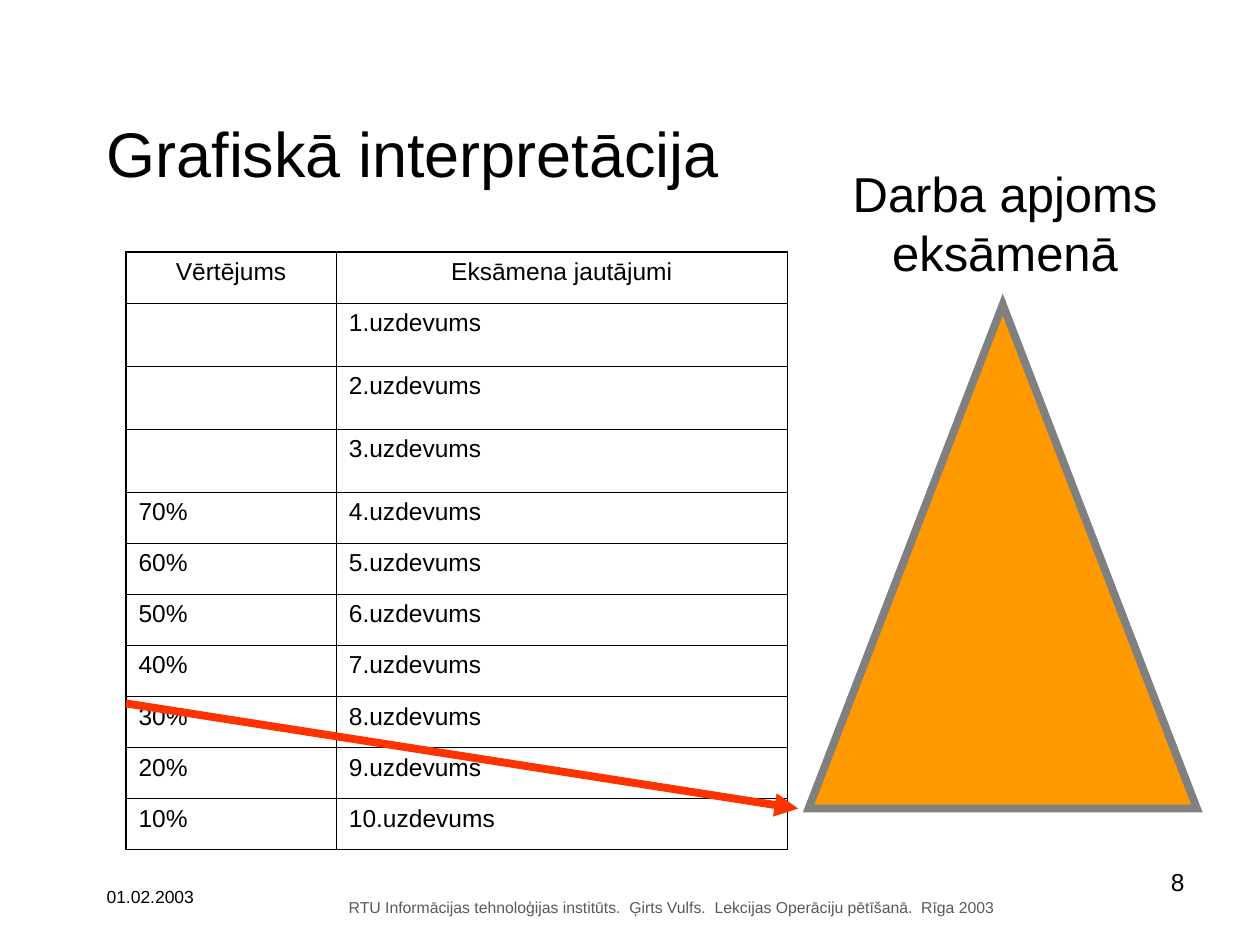
from dataclasses import dataclass

from lxml import etree
from pptx import Presentation
from pptx.dml.color import RGBColor
from pptx.enum.shapes import MSO_CONNECTOR, MSO_SHAPE
from pptx.enum.text import MSO_ANCHOR, MSO_AUTO_SIZE, PP_ALIGN
from pptx.oxml.ns import qn
from pptx.util import Cm, Pt

LEFT, CENTER, RIGHT = PP_ALIGN.LEFT, PP_ALIGN.CENTER, PP_ALIGN.RIGHT
TOP, MIDDLE = MSO_ANCHOR.TOP, MSO_ANCHOR.MIDDLE
FIXED, GROW = MSO_AUTO_SIZE.NONE, MSO_AUTO_SIZE.SHAPE_TO_FIT_TEXT
TRIANGLE, STRAIGHT = MSO_SHAPE.ISOSCELES_TRIANGLE, MSO_CONNECTOR.STRAIGHT

COLORS = {
    "text": "000000",
    "footer": "595959",
    "border": "000000",
    "triangle": "FF9900",
    "outline": "808080",
    "arrow": "FF3300",
}
FONT = "Arial"
THICK, THIN = Pt(1.08), Pt(0.45)
PLAIN_ROW, TALL_ROW = Cm(1.03), Cm(1.27)


@dataclass
class Label:
    """A text box; lengths are in centimetres, the size in points."""
    lines: list[str]
    left: float
    top: float
    width: float
    height: float
    size: float
    color: str = "text"
    align: PP_ALIGN = LEFT
    anchor: MSO_ANCHOR = TOP
    wrap: bool = True


FOOTER = Label(
    ["RTU Informācijas tehnoloģijas institūts.  Ģirts Vulfs.  "
     "Lekcijas Operāciju pētīšanā.  Rīga 2003"],
    6.78, 17.98, 13.54, 0.64, 9, color="footer", wrap=False)
LABELS = [
    Label(["Grafiskā interpretācija"], 1.9, 1.48, 21.6, 3.18, 36, anchor=MIDDLE),
    Label(["Darba apjoms", "eksāmenā"], 16.76, 3.18, 7, 2.64, 28,
          align=CENTER, wrap=False),
    Label(["8"], 18.21, 17.36, 5.92, 1.32, 14, align=RIGHT),
    Label(["01.02.2003"], 1.9, 17.74, 3.2, 1.31, 10),
]

# Grades fall from 70% to 10%; the first three tasks have none
GRADES = [""] * 3 + [f"{percent}%" for percent in range(70, 0, -10)]
ROWS = [("Vērtējums", "Eksāmena jautājumi")] + [
    (grade, f"{number}.uzdevums") for number, grade in enumerate(GRADES, 1)]


def rgb(name: str) -> RGBColor:
    return RGBColor.from_string(COLORS[name])


def format_paragraph(para, size: float, color: str, align: PP_ALIGN) -> None:
    para.alignment = align
    for name, value in {"name": FONT, "size": Pt(size)}.items():
        setattr(para.font, name, value)
    para.font.color.rgb = rgb(color)


def add_label(page, label: Label) -> None:
    box = page.shapes.add_textbox(
        Cm(label.left), Cm(label.top), Cm(label.width), Cm(label.height))
    frame = box.text_frame
    frame.text = "\n".join(label.lines)
    for name, value in {"word_wrap": label.wrap,
                        "auto_size": FIXED if label.wrap else GROW,
                        "vertical_anchor": label.anchor}.items():
        setattr(frame, name, value)
    for para in frame.paragraphs:
        format_paragraph(para, label.size, label.color, label.align)


def set_borders(cell, widths: dict[str, int]) -> None:
    properties = cell._tc.get_or_add_tcPr()
    for side, width in widths.items():
        line = etree.SubElement(properties, qn(f"a:ln{side}"), w=str(width))
        fill = etree.SubElement(line, qn("a:solidFill"))
        etree.SubElement(fill, qn("a:srgbClr"), val=COLORS["border"])


def add_grade_table(page) -> None:
    table = page.shapes.add_table(
        len(ROWS), len(ROWS[0]), Cm(2.54), Cm(5.08), Cm(13.33),
        PLAIN_ROW * len(ROWS)).table
    table.first_row = table.horz_banding = False
    for column, width in zip(table.columns, (4.24, 9.09)):
        column.width = Cm(width)

    for row_index, texts in enumerate(ROWS):
        table.rows[row_index].height = PLAIN_ROW if texts[0] else TALL_ROW
        for column_index, text in enumerate(texts):
            cell = table.cell(row_index, column_index)
            set_borders(cell, {
                "L": THICK if column_index == 0 else THIN,
                "R": THIN,
                "T": THICK if row_index == 0 else THIN,
                "B": THIN,
            })
            cell.fill.background()
            cell.text = text
            format_paragraph(cell.text_frame.paragraphs[0], 14, "text",
                             CENTER if row_index == 0 else LEFT)


def add_workload_triangle(page) -> None:
    triangle = page.shapes.add_shape(
        TRIANGLE, Cm(16.3), Cm(6.14), Cm(7.83), Cm(10.16))
    triangle.shadow.inherit = False
    triangle.fill.solid()
    triangle.fill.fore_color.rgb = rgb("triangle")
    triangle.line.color.rgb = rgb("outline")
    triangle.line.width = Pt(4.5)
    # Sharp corners
    etree.SubElement(triangle.line._get_or_add_ln(), qn("a:miter"), lim="800000")


def add_arrow(page) -> None:
    arrow = page.shapes.add_connector(
        STRAIGHT, Cm(2.54), Cm(14.18), Cm(16.09), Cm(16.3))
    arrow.line.color.rgb = rgb("arrow")
    arrow.line.width = Pt(4.5)
    etree.SubElement(arrow.line._get_or_add_ln(), qn("a:tailEnd"), type="triangle")
    etree.SubElement(arrow._element.spPr, qn("a:effectLst"))


def main() -> None:
    deck = Presentation()
    deck.slide_width, deck.slide_height = Cm(25.4), Cm(19.05)
    page = deck.slides.add_slide(deck.slide_layouts[6])

    # Footer and table of grades
    add_label(page, FOOTER)
    add_grade_table(page)

    # Workload triangle and the arrow to its base
    add_workload_triangle(page)
    add_arrow(page)

    # Title, caption, page number and date
    for label in LABELS:
        add_label(page, label)

    deck.save("out.pptx")


if __name__ == "__main__":
    main()
